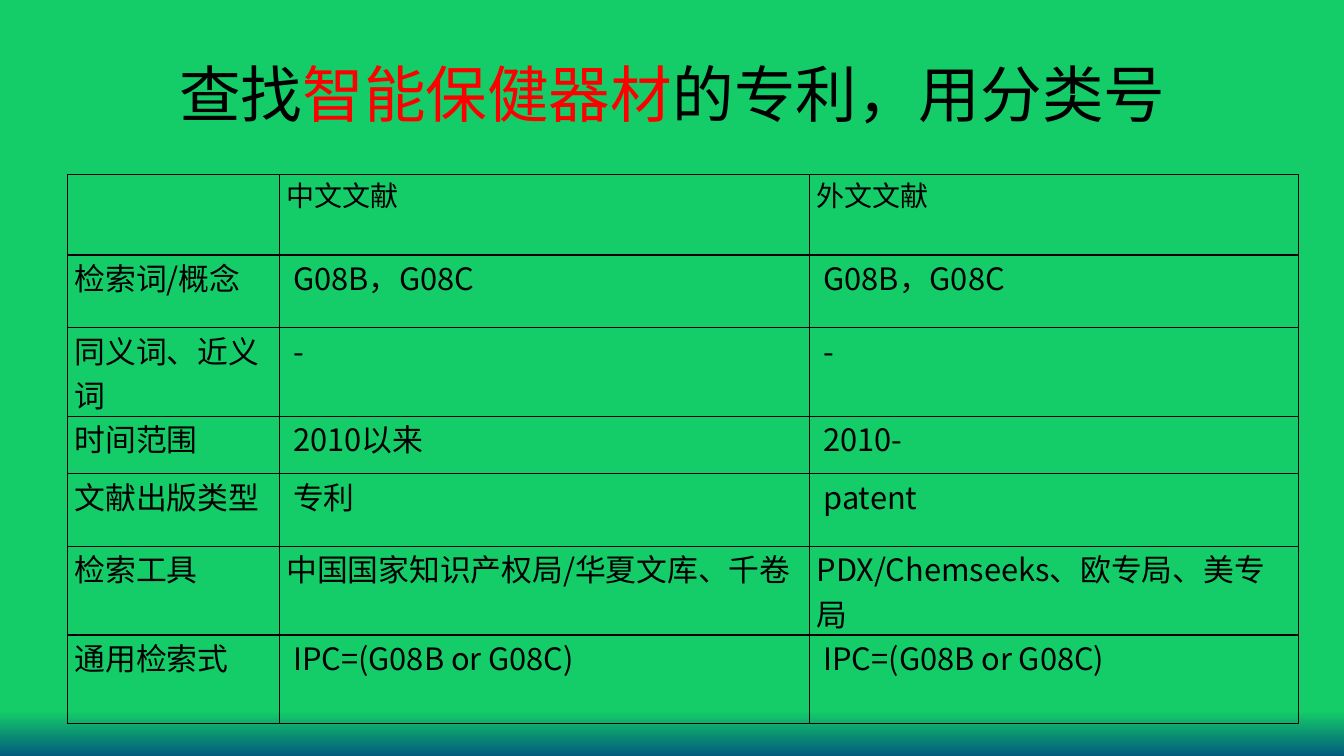
import pptx
import pptx.util
import pptx.dml.color
import pptx.enum.text
import pptx.oxml.ns
import lxml.etree

Inches = pptx.util.Inches
Pt = pptx.util.Pt
RGBColor = pptx.dml.color.RGBColor

GREEN = RGBColor(0x14, 0xCD, 0x68)
BLUE = RGBColor(0x03, 0x5C, 0x7D)
BLACK = RGBColor(0, 0, 0)
RED = RGBColor(0xFF, 0, 0)
BORDER = RGBColor(0x08, 0, 0)


def add_element(parent, tag, **attributes):
    return lxml.etree.SubElement(parent, pptx.oxml.ns.qn(tag), **attributes)


def format_run(run, size, font_name, color):
    run.font.size = Pt(size)
    run.font.color.rgb = color
    run.font.name = font_name
    add_element(run.font._element, "a:ea", typeface=font_name)


presentation = pptx.Presentation()
presentation.slide_width = Inches(13.33)
presentation.slide_height = Inches(7.5)
slide = presentation.slides.add_slide(presentation.slide_layouts[6])

background = slide.background.fill
background.gradient()
background.gradient_angle = 270
for stop, position, color in zip(background.gradient_stops, (0.94, 1), (GREEN, BLUE)):
    stop.position = position
    stop.color.rgb = color

title = slide.shapes.add_textbox(Inches(0.67), Inches(0.3), Inches(12), Inches(1.25))
title.text_frame.word_wrap = True
title.text_frame.vertical_anchor = pptx.enum.text.MSO_ANCHOR.MIDDLE
title_paragraph = title.text_frame.paragraphs[0]
title_paragraph.alignment = pptx.enum.text.PP_ALIGN.CENTER
title_parts = [("查找", BLACK), ("智能保健器材", RED), ("的专利，用分类号", BLACK)]
for text, color in title_parts:
    run = title_paragraph.add_run()
    run.text = text
    format_run(run, 44, "Arial", color)

column_widths = [2.1, 5.26, 4.85]
row_heights = [0.8, 0.72, 0.88, 0.57, 0.72, 0.88, 0.88]
search_plan = [
    ["", "中文文献", "外文文献"],
    ["检索词/概念", " G08B，G08C", " G08B，G08C"],
    ["同义词、近义词", " -", " -"],
    ["时间范围", " 2010以来", " 2010-"],
    ["文献出版类型", " 专利", " patent"],
    ["检索工具", "中国国家知识产权局/华夏文库、千卷", "PDX/Chemseeks、欧专局、美专局"],
    ["通用检索式", " IPC=(G08B or G08C)", " IPC=(G08B or G08C)"],
]

table = slide.shapes.add_table(
    len(row_heights), len(column_widths), Inches(0.67), Inches(1.73),
    Inches(sum(column_widths)), Inches(sum(row_heights)),
).table
table.first_row = False
table.horz_banding = False
for column, width in zip(table.columns, column_widths):
    column.width = Inches(width)

for row_index, (row, height, texts) in enumerate(zip(table.rows, row_heights, search_plan)):
    row.height = Inches(height)
    for cell, text in zip(row.cells, texts):
        cell.margin_left = cell.margin_right = Inches(0.07)
        cell.margin_top = cell.margin_bottom = 0
        cell_properties = cell._tc.get_or_add_tcPr()
        for side in ("a:lnL", "a:lnR", "a:lnT", "a:lnB"):
            line = add_element(cell_properties, side, w=str(Pt(1)))
            add_element(add_element(line, "a:solidFill"), "a:srgbClr", val=str(BORDER))
        cell.fill.background()
        if text:
            cell.text_frame.text = text
            size = 20 if row_index == 0 else 22
            format_run(cell.text_frame.paragraphs[0].runs[0], size, "Noto Sans CJK SC", BLACK)

presentation.save("out.pptx")
